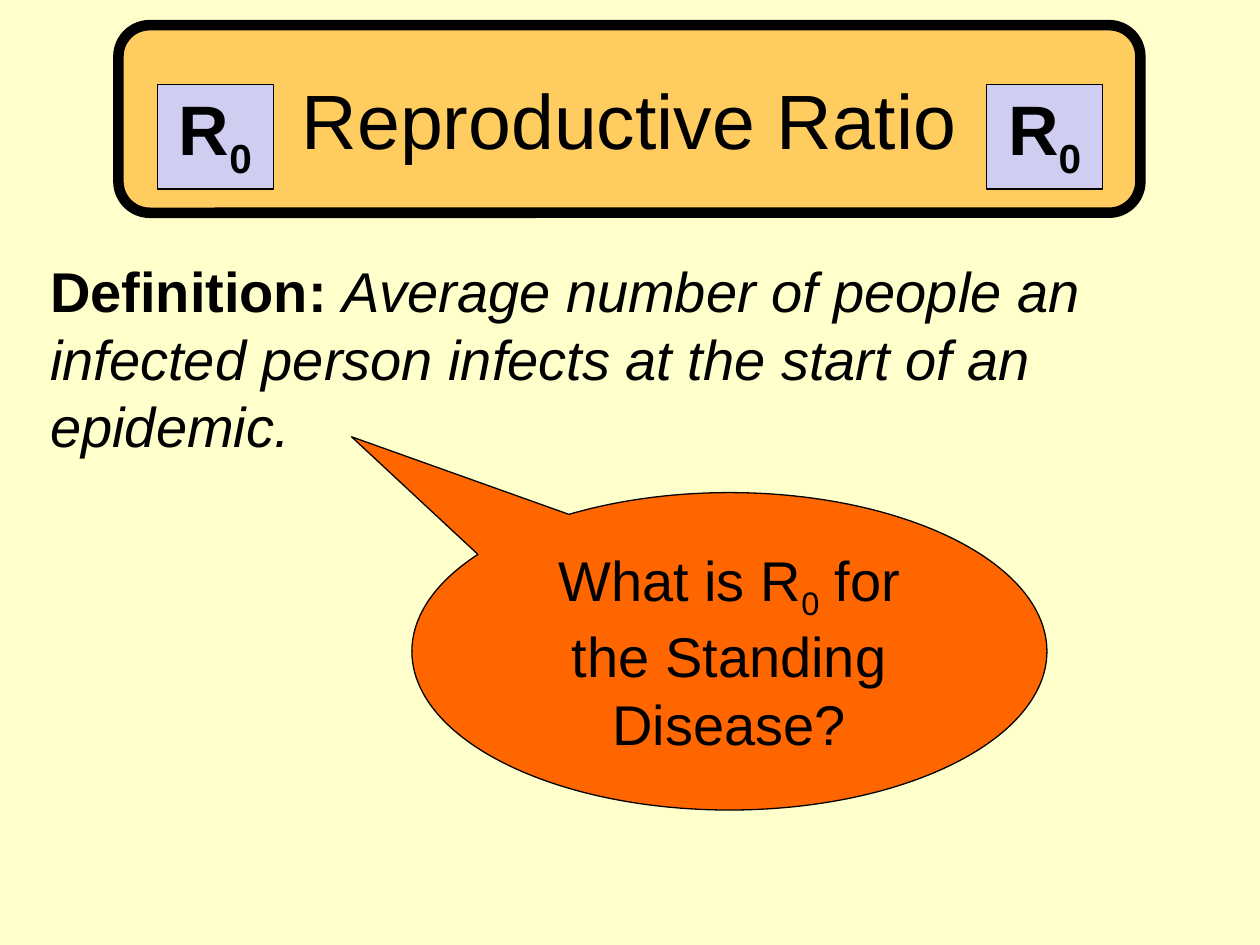
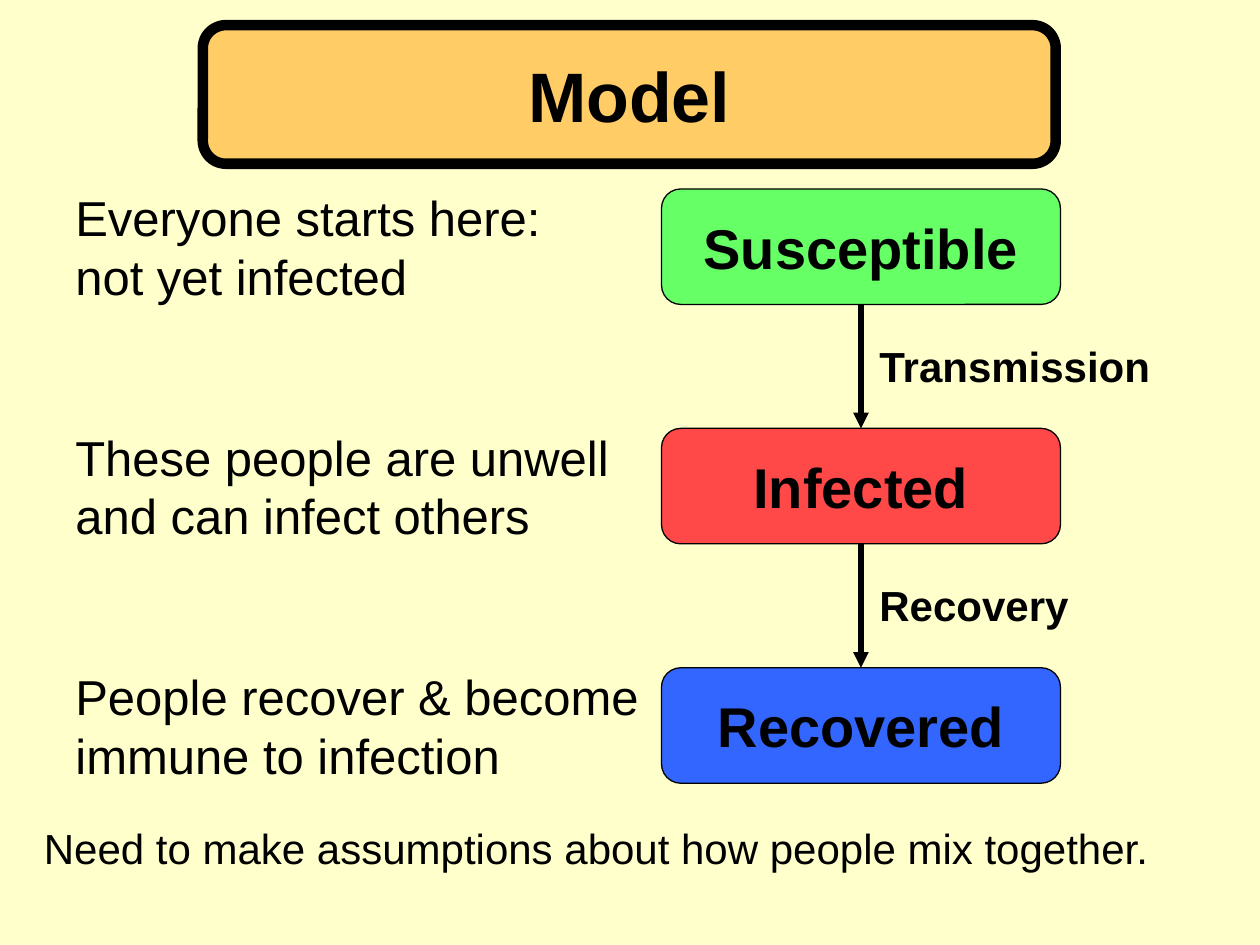
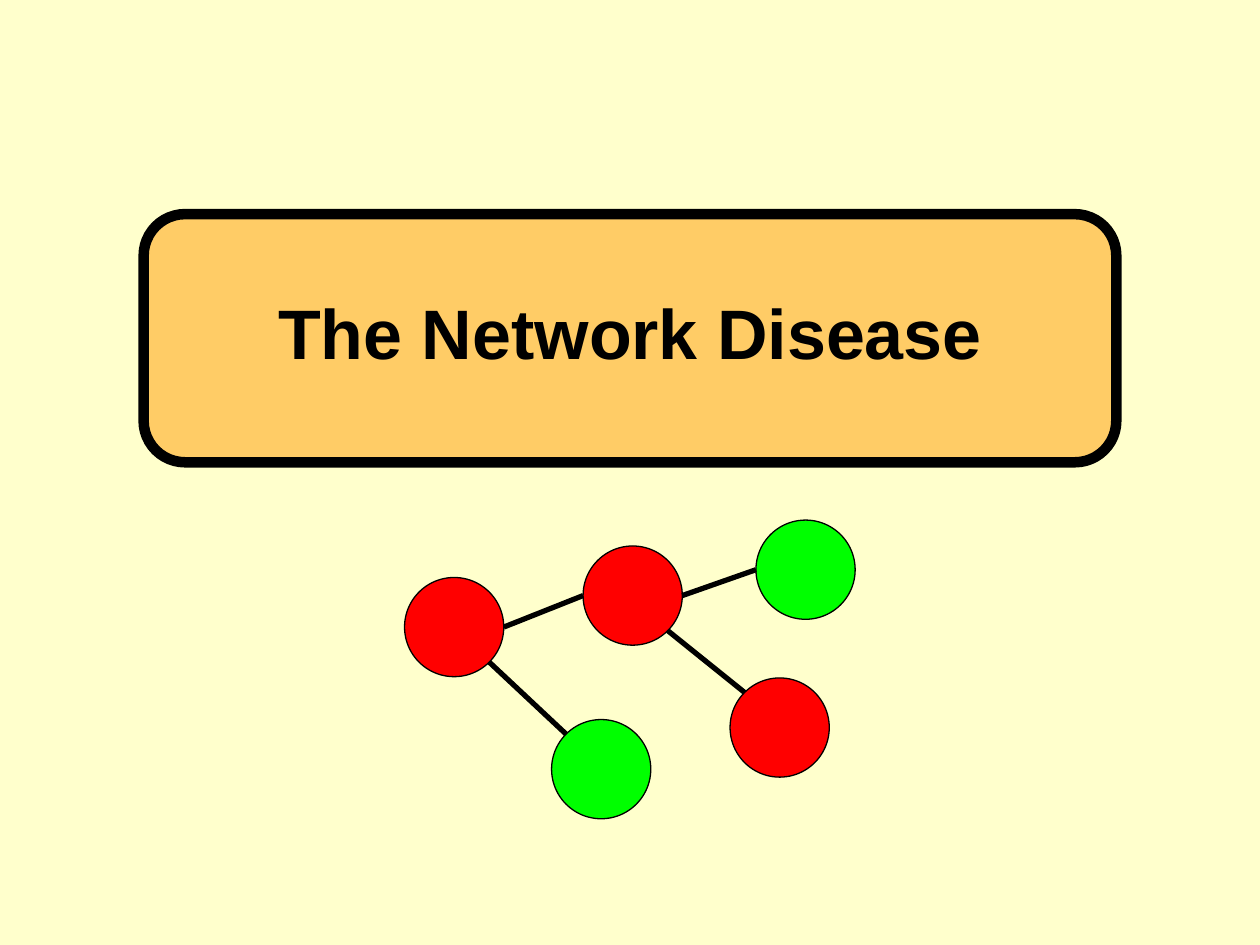
import math
from lxml import etree
from pptx import Presentation
from pptx.dml.color import RGBColor
from pptx.enum import shapes, text
from pptx.oxml.ns import qn
from pptx.util import Pt

HUES = {
    "page": "FFFFCC", "ink": "000000", "gold": "FFCC66", "amber": "FFCC5F",
    "lilac": "CFCDF0", "orange": "FF6600", "mint": "66FF66", "coral": "FF4848",
    "blue": "3366FF", "red": "FF0000", "green": "00FF00",
}
KIND = shapes.MSO_SHAPE
MID, TOP = text.MSO_ANCHOR.MIDDLE, text.MSO_ANCHOR.TOP
LEFT, CENTER = text.PP_ALIGN.LEFT, text.PP_ALIGN.CENTER
BOLD, ITALIC, PLAIN = {"bold": True}, {"italic": True}, {}
WIDE, HIGH = 720, 540


def tint(name):
    return RGBColor.from_string(HUES[name])


class Deck:
    def __init__(self):
        self.prs = Presentation()
        self.prs.slide_width, self.prs.slide_height = Pt(WIDE), Pt(HIGH)
        fill = self.prs.slide_master.background.fill
        fill.solid()
        fill.fore_color.rgb = tint("page")
        self.slide = None

    def page(self):
        self.slide = self.prs.slides.add_slide(self.prs.slide_layouts[5])

    def letter(self, shape, runs, size, align=LEFT, **look):
        """Fill a shape with one paragraph of (text, font format) runs."""
        frame = shape.text_frame
        look = {"word_wrap": True, "vertical_anchor": TOP,
                "auto_size": text.MSO_AUTO_SIZE.NONE,
                "margin_left": Pt(7.2), "margin_right": Pt(7.2),
                "margin_top": Pt(3.6), "margin_bottom": Pt(3.6), **look}
        for key, value in look.items():
            setattr(frame, key, value)
        para = frame.paragraphs[0]
        para.alignment = align
        for words, form in runs:
            run = para.add_run()
            run.text = words
            font = {"name": "Arial", "size": Pt(size), "bold": False, **form}
            base = font.pop("base", None)
            for key, value in font.items():
                setattr(run.font, key, value)
            run.font.color.rgb = tint("ink")
            if base:
                run._r.get_or_add_rPr().set("baseline", str(base))

    def shape(self, kind, box, hue, edge=0.75):
        item = self.slide.shapes.add_shape(kind, *map(Pt, box))
        item.shadow.inherit = False
        item.fill.solid()
        item.fill.fore_color.rgb = tint(hue)
        item.line.color.rgb = tint("ink")
        item.line.width = Pt(edge)
        return item

    def title(self, words, band, hue="gold", size=40, form=BOLD, box=None):
        """Put the title over a thick-edged band; box is the text area."""
        head = self.slide.shapes.title
        head.left, head.top, head.width, head.height = map(Pt, box or band)
        back = self.shape(KIND.ROUNDED_RECTANGLE, band, hue, 6)
        head.element.addprevious(back.element)
        self.letter(head, [(words, form)], size, CENTER, vertical_anchor=MID)

    def label(self, box, runs, size, **look):
        item = self.slide.shapes.add_textbox(*map(Pt, box))
        self.letter(item, runs, size, **look)

    def line(self, start, end):
        item = self.slide.shapes.add_connector(
            shapes.MSO_CONNECTOR.STRAIGHT, *map(Pt, start + end))
        item.line.color.rgb = tint("ink")
        item.line.width = Pt(3)
        etree.SubElement(item.element.spPr, qn("a:effectLst"))
        return item

    def arrow(self, upper, lower):
        """Join the bottom of one box to the top of the next."""
        item = self.line((0, 0), (0, 0))
        item.begin_connect(upper, 2)
        item.end_connect(lower, 0)
        edge = item.element.spPr.find(qn("a:ln"))
        etree.SubElement(edge, qn("a:tailEnd"), type="triangle")


def ratio(deck):
    deck.page()
    deck.title("Reproductive Ratio", (67.7, 14.4, 584, 107.2), "amber", 44, PLAIN)
    deck.label((21.6, 143.3, 656.6, 122.4), [
        ("Definition: ", BOLD),
        ("Average number of people an infected person infects at the start "
         "of an epidemic.", ITALIC)], 32)
    side, inset = 66.2, 90
    for left in (inset, WIDE - inset - side):
        badge = deck.shape(KIND.RECTANGLE, (left, 48.2, side, 59.8), "lilac")
        deck.letter(badge, [("R", BOLD), ("0", {"bold": True, "base": -25000})], 40,
                    CENTER, vertical_anchor=MID, margin_bottom=Pt(7.2))
    ask = deck.shape(KIND.OVAL_CALLOUT, (235.4, 281.5, 362.9, 181.4), "orange")
    ask.adjustments[0], ask.adjustments[1] = -0.595, -0.676
    deck.letter(ask, [("What is R", PLAIN), ("0", {"base": -25000}),
                      (" for the Standing Disease?", PLAIN)], 32, CENTER)


def model(deck):
    deck.page()
    deck.title("Model", (115.9, 14.4, 487.4, 79.2))
    stages = [
        ("Susceptible", "mint", "Everyone starts here: not yet infected", 282),
        ("Infected", "coral", "These people are unwell and can infect others", 348),
        ("Recovered", "blue", "People recover & become immune to infection", 348),
    ]
    first, step = 108, 136.8
    boxes = []
    for row, (name, hue, note, width) in enumerate(stages):
        top = first + row * step
        box = deck.shape(KIND.ROUNDED_RECTANGLE, (378, top, 228, 66), hue)
        deck.letter(box, [(name, BOLD)], 32, CENTER, vertical_anchor=MID)
        deck.label((36, top - 4.3, width, 74.9), [(note, PLAIN)], 28)
        boxes.append(box)
    for row, name in enumerate(("Transmission", "Recovery")):
        deck.arrow(boxes[row], boxes[row + 1])
        deck.label((495.4, first + row * step + 82.8, 170, 36), [(name, BOLD)], 24)
    deck.label((18, 466.6, 696, 36), [
        ("Need to make assumptions about how people mix together.", PLAIN)], 24)


def network(deck):
    deck.page()
    deck.title("The Network Disease", (82.1, 122.4, 555.8, 141.8),
               box=(82.1, 162, 555.8, 55.4))
    size = 56.7
    nodes = {
        "source": (231.2, 330, "red"), "last": (417.2, 387.4, "red"),
        "right": (432, 297.2, "green"), "low": (315.2, 411.2, "green"),
        "hub": (333.2, 312, "red"),
    }
    for left, top, hue in nodes.values():
        deck.shape(KIND.OVAL, (left, top, size, size), hue)

    def rim(name, angle):
        """Point on a node's edge, clockwise from the right, in degrees."""
        left, top, _ = nodes[name]
        turn, half = math.radians(angle), size / 2
        return (left + half + half * math.cos(turn),
                top + half + half * math.sin(turn))

    for start, end, angle in (("source", "hub", 0), ("hub", "last", 45),
                              ("source", "low", 45), ("hub", "right", 0)):
        deck.line(rim(start, angle), rim(end, angle + 180))


def main():
    deck = Deck()
    for build in (ratio, model, network):
        build(deck)
    deck.prs.save("out.pptx")


if __name__ == "__main__":
    main()
